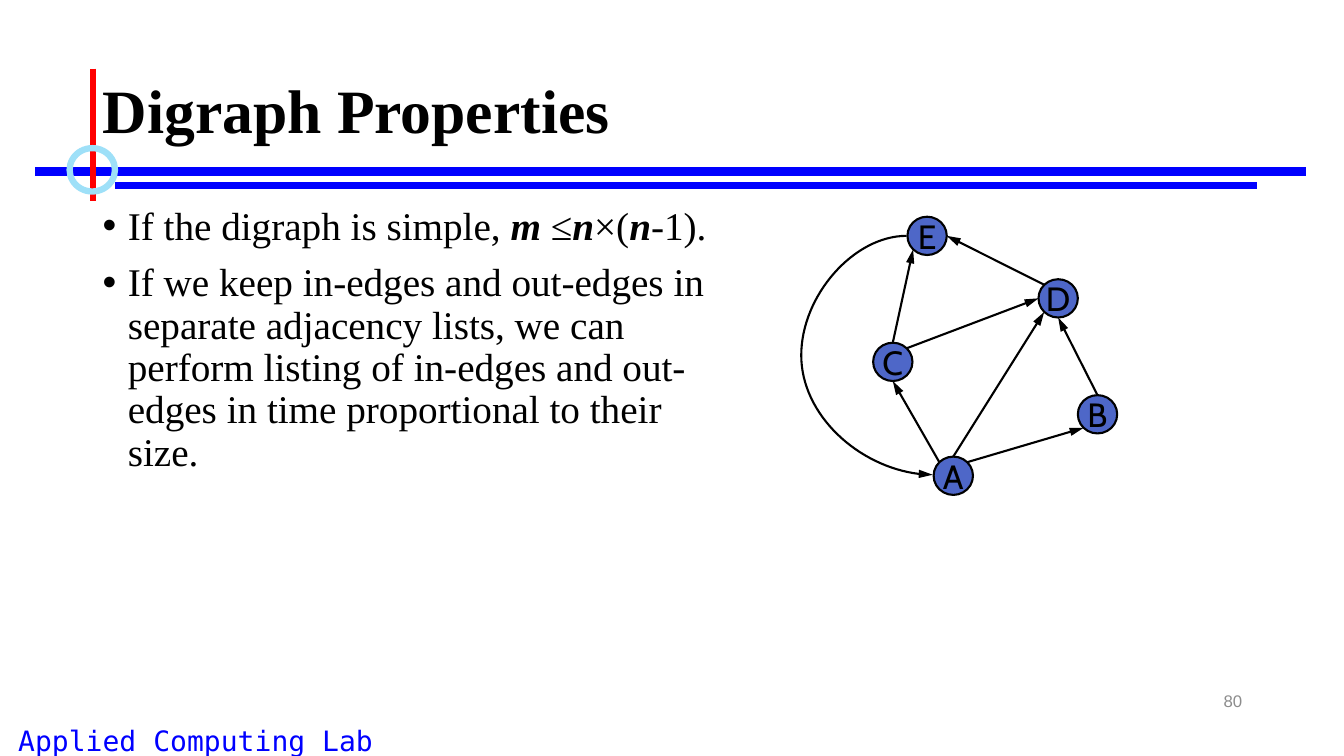
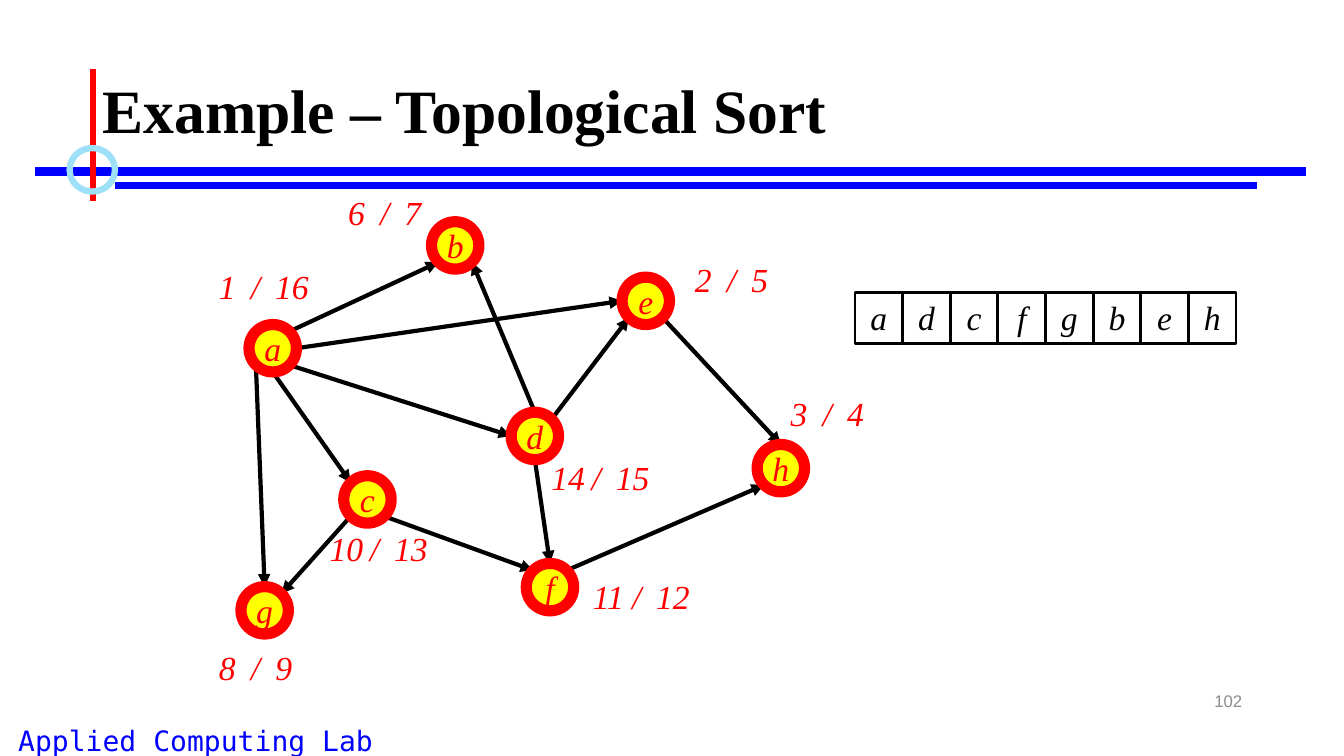
import pptx
import pptx.util
import pptx.dml.color
import pptx.enum.shapes
import pptx.enum.text
import pptx.oxml
import pptx.oxml.ns

Inches, Pt = pptx.util.Inches, pptx.util.Pt
KIND = pptx.enum.shapes.MSO_SHAPE
LINK = pptx.enum.shapes.MSO_CONNECTOR
ALIGN = pptx.enum.text.PP_ALIGN
ANCHOR = pptx.enum.text.MSO_ANCHOR

COLORS = {"black": "000000", "blue": "0000FF", "red": "FF0000", "sky": "9EE0F8",
          "gray": "8C8C8C", "node": "4E67C8", "yellow": "FFFF00"}
SERIF = "Times New Roman"

# Content shared by the slides
LAB = "Applied Computing Lab"
RULES = [((0.35, 1.7), (12.95, 1.7), "blue", 6),
         ((1.14, 1.84), (12.47, 1.84), "blue", 4.5),
         ((0.92, 0.68), (0.92, 1.99), "red", 4.5)]

# Content of the digraph slide: each run is its text and whether it is a variable
POINTS = [
    [("If the digraph is simple, ", False), ("m ", True), ("≤", False), ("n", True),
     ("×(", False), ("n", True), ("-1).", False)],
    [("If we keep in-edges and out-edges in separate adjacency lists, we can perform "
      "listing of in-edges and out-edges in time proportional to their size.", False)],
]
DISK = (0.39, 0.38)
NODES = {"A": (9.26, 4.53), "C": (8.66, 3.4), "E": (9, 2.15),
         "B": (10.69, 3.92), "D": (10.3, 2.77)}
EDGES = ["A nw C s", "A ne B sw", "C n E sw", "D nw E e", "B n D s", "A n D sw", "C ne D w"]
BEND = ((8.99, 2.34), (9.25, 4.71), 501600)

# Content of the sorting slide: place of each node, place of its slash, its times
RING = (0.47, 0.47)
VISITS = {
    "a": ((2.47, 3.22), (2.39, 2.59), "1", "16"),
    "b": ((4.28, 2.2), (3.67, 1.85), "6", "7"),
    "c": ((3.41, 4.72), (3.57, 5.19), "10", "13"),
    "g": ((2.39, 5.82), (2.39, 6.37), "8", "9"),
    "e": ((6.17, 2.75), (7.11, 2.52), "2", "5"),
    "d": ((5.07, 4.09), (5.77, 4.48), "14", "15"),
    "f": ((5.22, 5.59), (6.17, 5.66), "11", "12"),
    "h": ((7.51, 4.41), (8.06, 3.85), "3", "4"),
}
PATHS = ["a ne b sw", "a e e w", "a se d w", "a s c nw", "a sw g n", "c sw g ne",
         "c se f nw", "d n b se", "d s f n", "d ne e sw", "e se h n", "f ne h sw"]
ORDER = "adcfgbeh"
ROW = (8.48, 2.9, 3.78, 0.51)


def color(name):
    return pptx.dml.color.RGBColor.from_string(COLORS[name])


def lengths(*nums):
    return [Inches(num) for num in nums]


def write(para, text, size, font, tint, bold=False, slant=False):
    run = para.add_run()
    run.text = text
    run.font.size, run.font.name = Pt(size), font
    run.font.bold, run.font.italic = bold, slant
    run.font.color.rgb = color(tint)


def label(slide, box, text, size, font, tint, align=ALIGN.CENTER,
          anchor=ANCHOR.TOP, wrap=True, **style):
    frame = slide.shapes.add_textbox(*lengths(*box)).text_frame
    frame.word_wrap, frame.vertical_anchor = wrap, anchor
    para = frame.paragraphs[0]
    para.alignment = align
    write(para, text, size, font, tint, **style)
    return para


def shape(slide, kind, box, fill, edge, width):
    item = slide.shapes.add_shape(kind, *lengths(*box))
    item.shadow.inherit = False
    if fill:
        item.fill.solid()
        item.fill.fore_color.rgb = color(fill)
    else:
        item.fill.background()
    item.line.color.rgb, item.line.width = color(edge), Pt(width)
    return item


def fill_in(item, text, font, tint, anchor=ANCHOR.MIDDLE, wrap=False, slant=True):
    frame = item.text_frame
    frame.word_wrap, frame.vertical_anchor = wrap, anchor
    para = frame.paragraphs[0]
    para.alignment = ALIGN.CENTER
    write(para, text, 24, font, tint, slant=slant)


def line(slide, start, end, tint, width, tip=None, size="med", kind=LINK.STRAIGHT):
    item = slide.shapes.add_connector(kind, *lengths(*start, *end))
    item.line.color.rgb, item.line.width = color(tint), Pt(width)
    if tip:
        mark = pptx.oxml.ns.qn("a:" + tip)
        item.line._get_or_add_ln().makeelement(mark)
        pen = item.line._get_or_add_ln()
        pen.append(pen.makeelement(mark, {"type": "triangle", "w": "med", "len": size}))
    props = item._element.spPr
    props.append(props.makeelement(pptx.oxml.ns.qn("a:effectLst")))
    return item


def rim(place, size, side):
    """Point of an ellipse in a compass direction."""
    dx = ("e" in side) - ("w" in side)
    dy = ("s" in side) - ("n" in side)
    reach = 0.71 if dx and dy else 1
    return tuple(place[k] + size[k] / 2 * (1 + reach * way)
                 for k, way in enumerate((dx, dy)))


def arrows(slide, edges, places, size, width, tip_size):
    for edge in edges:
        tail, out, head, into = edge.split()
        line(slide, rim(places[tail], size, out), rim(places[head], size, into),
             "black", width, "tailEnd", tip_size)


def base(deck, title, number):
    slide = deck.slides.add_slide(deck.slide_layouts[6])
    label(slide, (-0.58, 7.13, 5.04, 0.43), LAB, 20, "DejaVu Sans Mono", "blue")
    for rule in RULES:
        line(slide, *rule)
    shape(slide, KIND.OVAL, (0.69, 1.47, 0.45, 0.43), None, "sky", 4.5)
    para = label(slide, (0.92, 0.4, 11.5, 1.45), title, 44, SERIF, "black",
                 ALIGN.LEFT, ANCHOR.MIDDLE, bold=True)
    para.line_spacing = 0.9
    label(slide, (9.42, 6.75, 3, 0.4), number, 12, "Arial", "gray",
          ALIGN.RIGHT, ANCHOR.MIDDLE)
    return slide


def digraph(deck):
    slide = base(deck, "Digraph Properties", "80")
    # Bullets
    frame = slide.shapes.add_textbox(*lengths(0.92, 2, 6.2, 4.76)).text_frame
    frame.word_wrap = True
    for k, point in enumerate(POINTS):
        para = frame.add_paragraph() if k else frame.paragraphs[0]
        para.line_spacing, para.space_before = 0.9, Pt(10)
        props = para._p.get_or_add_pPr()
        props.set("marL", str(Inches(0.25)))
        props.set("indent", str(Inches(-0.25)))
        for tag, attrs in (("a:buFont", {"typeface": "Arial"}), ("a:buChar", {"char": "•"})):
            props.append(props.makeelement(pptx.oxml.ns.qn(tag), attrs))
        for text, var in point:
            write(para, text, 28, SERIF, "black", var, var)
    # Graph
    for name, place in NODES.items():
        disk = shape(slide, KIND.OVAL, place + DISK, "node", "black", 1.5)
        fill_in(disk, name, "Cabin", "black", slant=False)
    arrows(slide, EDGES, NODES, DISK, 1.5, "lg")
    # Curve from A round to E, turned by half a circle
    start, end, bulge = BEND
    curve = line(slide, start, end, "black", 1.5, "headEnd", "lg", LINK.CURVE)
    props = curve._element.spPr
    props.find(pptx.oxml.ns.qn("a:xfrm")).set("rot", "10800000")
    geom = props.find(pptx.oxml.ns.qn("a:prstGeom"))
    guides = geom.find(pptx.oxml.ns.qn("a:avLst"))
    guides.append(guides.makeelement(pptx.oxml.ns.qn("a:gd"),
                                     {"name": "adj1", "fmla": f"val {bulge}"}))


def sorting(deck):
    slide = base(deck, "Example – Topological Sort", "102")
    places = {name: visit[0] for name, visit in VISITS.items()}
    # Graph: disks, then arrows, then rings over both
    for name, place in places.items():
        disk = shape(slide, KIND.OVAL, place + RING, "yellow", "black", 0.75)
        fill_in(disk, name, SERIF, "red")
    arrows(slide, PATHS, places, RING, 3, "med")
    for place in places.values():
        shape(slide, KIND.OVAL, place + RING, None, "red", 8)
    # Sorted row
    left, top, width, height = ROW
    step = width / len(ORDER)
    for k, name in enumerate(ORDER):
        cell = shape(slide, KIND.RECTANGLE, (left + k * step, top, step, height),
                     None, "black", 2)
        fill_in(cell, name, SERIF, "black", ANCHOR.TOP, True)
    # Start and finish times on both sides of a slash
    for _, (x, y), first, last in VISITS.values():
        parts = [(x - 0.24 - 0.08 * len(first), 0.21 + 0.16 * len(first), first),
                 (x, 0.29, "/"),
                 (x + 0.24, 0.21 + 0.16 * len(last), last)]
        for at, wide, text in parts:
            label(slide, (at, y, wide, 0.5), text, 24, SERIF, "red",
                  wrap=False, slant=True)


def main():
    deck = pptx.Presentation()
    deck.slide_width, deck.slide_height = lengths(13.33, 7.5)
    digraph(deck)
    sorting(deck)
    deck.save("out.pptx")


if __name__ == "__main__":
    main()
